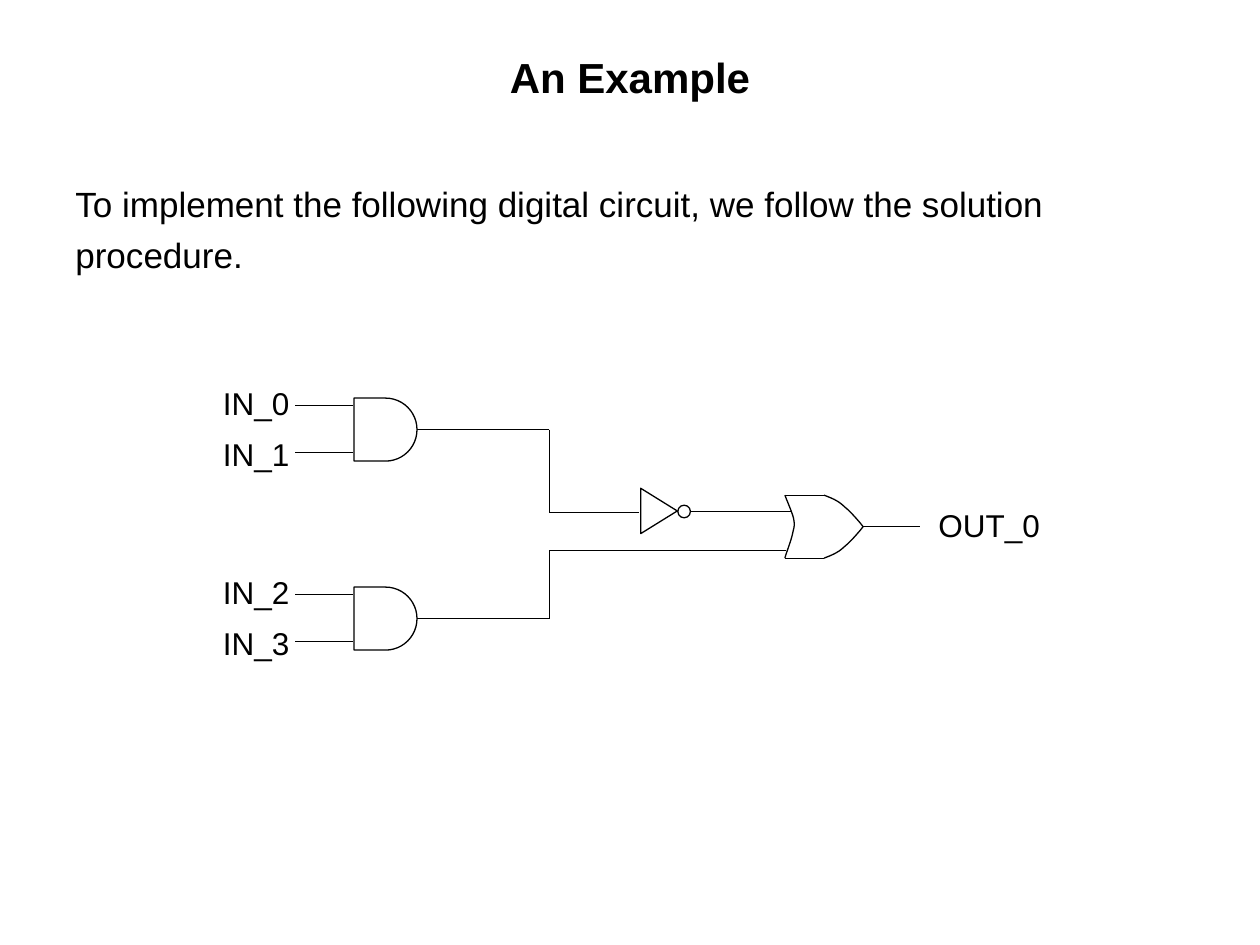
import pptx
import pptx.dml.color
import pptx.enum.shapes
import pptx.enum.text
import pptx.oxml
import pptx.oxml.ns
import pptx.util

Inches = pptx.util.Inches
Pt = pptx.util.Pt
SHAPE = pptx.enum.shapes.MSO_SHAPE
ALIGN = pptx.enum.text.PP_ALIGN
ANCHOR = pptx.enum.text.MSO_ANCHOR

BLACK = "000000"
WHITE = "FFFFFF"
FONT = "Arial"
GATE_SIZE = 0.5


def color(value):
    return pptx.dml.color.RGBColor.from_string(value)


def set_outline(item):
    item.line.color.rgb = color(BLACK)
    item.line.width = Pt(0.75)


def add_text(page, left, top, width, height, lines, size, bold=False,
             align=ALIGN.LEFT, anchor=ANCHOR.TOP, margin_top=0.05):
    box = page.shapes.add_textbox(Inches(left), Inches(top), Inches(width), Inches(height))
    frame = box.text_frame
    frame.word_wrap = True
    frame.vertical_anchor = anchor
    frame.margin_top = Inches(margin_top)
    for index, line in enumerate(lines):
        para = frame.add_paragraph() if index else frame.paragraphs[0]
        para.alignment = align
        if index:
            para.space_before = Pt(5)
        span = para.add_run()
        span.text = line
        span.font.name = FONT
        span.font.size = Pt(size)
        span.font.bold = bold
        span.font.color.rgb = color(BLACK)


def add_wire(page, start, end):
    wire = page.shapes.add_connector(
        pptx.enum.shapes.MSO_CONNECTOR.STRAIGHT,
        Inches(start[0]), Inches(start[1]), Inches(end[0]), Inches(end[1]))
    set_outline(wire)
    properties = wire._element.spPr
    properties.append(pptx.oxml.parse_xml(
        "<a:effectLst %s/>" % pptx.oxml.ns.nsdecls("a")))


def add_symbol(page, kind, left, top, width, height, rotation=0, fill=None):
    symbol = page.shapes.add_shape(
        kind, Inches(left), Inches(top), Inches(width), Inches(height))
    symbol.shadow.inherit = False
    symbol.rotation = rotation
    if fill:
        symbol.fill.solid()
        symbol.fill.fore_color.rgb = color(fill)
    else:
        symbol.fill.background()
    set_outline(symbol)


def bezier_points(start, control_1, control_2, end, steps=12):
    points = []
    for step in range(1, steps + 1):
        t = step / steps
        weights = ((1 - t) ** 3, 3 * t * (1 - t) ** 2, 3 * t ** 2 * (1 - t), t ** 3)
        corners = (start, control_1, control_2, end)
        points.append(tuple(sum(w * c[axis] for w, c in zip(weights, corners))
                            for axis in (0, 1)))
    return points


def add_curve(page, start, *segments):
    points = [start]
    for segment in segments:
        points += bezier_points(points[-1], *segment)
    points = [(Inches(x), Inches(y)) for x, y in points]
    builder = page.shapes.build_freeform(*points[0])
    builder.add_line_segments(points[1:], close=False)
    curve = builder.convert_to_shape()
    curve.shadow.inherit = False
    curve.fill.background()
    set_outline(curve)


def add_or_gate(page, left, middle):
    """Draw a curved back, two short edges and two arcs meeting at the tip."""
    half = GATE_SIZE / 2
    shoulder = left + 0.31
    tip = left + 0.62
    add_curve(page, (left, middle - half),
              ((left + 0.01, middle - 0.22), (left + 0.06, middle - 0.11),
               (left + 0.07, middle - 0.06)),
              ((left + 0.08, middle), (left + 0.07, middle + 0.01),
               (left + 0.06, middle + 0.06)),
              ((left + 0.05, middle + 0.11), (left + 0.01, middle + 0.21),
               (left, middle + half)))
    for side in (-1, 1):
        edge = middle + side * half
        add_wire(page, (left, edge), (shoulder, edge))
        add_curve(page, (shoulder, edge),
                  ((shoulder + 0.05, middle + side * 0.23),
                   (shoulder + 0.11, middle + side * 0.21),
                   (shoulder + 0.16, middle + side * 0.16)),
                  ((shoulder + 0.21, middle + side * 0.12),
                   (shoulder + 0.28, middle + side * 0.04), (tip, middle)))


def add_and_gate(page, top, labels):
    """Draw an AND gate with its two labelled inputs and its output wire."""
    add_symbol(page, SHAPE.FLOWCHART_DELAY, 2.81, top, GATE_SIZE, GATE_SIZE)
    for offset in (0.06, 0.43):
        add_wire(page, (2.8, top + offset), (2.34, top + offset))
    for label, offset in zip(labels, (-0.16, 0.24)):
        add_text(page, 1.67, top + offset, 0.92, 0.4, [label], 18)
    add_wire(page, (3.31, top + 0.25), (4.36, top + 0.25))


def main():
    deck = pptx.Presentation()
    deck.slide_width = Inches(10)
    deck.slide_height = Inches(7.5)
    page = deck.slides.add_slide(deck.slide_layouts[6])

    # Title and introduction
    add_text(page, 0.5, 0.3, 9, 0.62, ["An Example"], 24, bold=True,
             align=ALIGN.CENTER, anchor=ANCHOR.MIDDLE)
    add_text(page, 0.5, 1, 9, 5.7,
             ["To implement the following digital circuit, we follow the solution",
              "procedure."], 20, margin_top=0.45)

    # Gates
    add_or_gate(page, 6.23, 4.18)
    add_symbol(page, SHAPE.FLOWCHART_MERGE, 5.05, 3.91, 0.36, 0.29, rotation=270)
    add_symbol(page, SHAPE.OVAL, 5.38, 4.01, 0.1, 0.1, fill=WHITE)
    add_and_gate(page, 3.16, ("IN_0", "IN_1"))
    add_and_gate(page, 4.66, ("IN_2", "IN_3"))

    # Wires from the AND gates through the inverter to the OR gate
    add_wire(page, (4.36, 3.41), (4.36, 4.07))
    add_wire(page, (4.36, 4.07), (5.07, 4.07))
    add_wire(page, (5.48, 4.06), (6.28, 4.06))
    add_wire(page, (4.36, 4.91), (4.36, 4.37))
    add_wire(page, (4.36, 4.37), (6.24, 4.37))

    # Output
    add_wire(page, (6.85, 4.18), (7.3, 4.18))
    add_text(page, 7.35, 3.97, 1.1, 0.4, ["OUT_0"], 18)

    deck.save("out.pptx")


if __name__ == "__main__":
    main()
